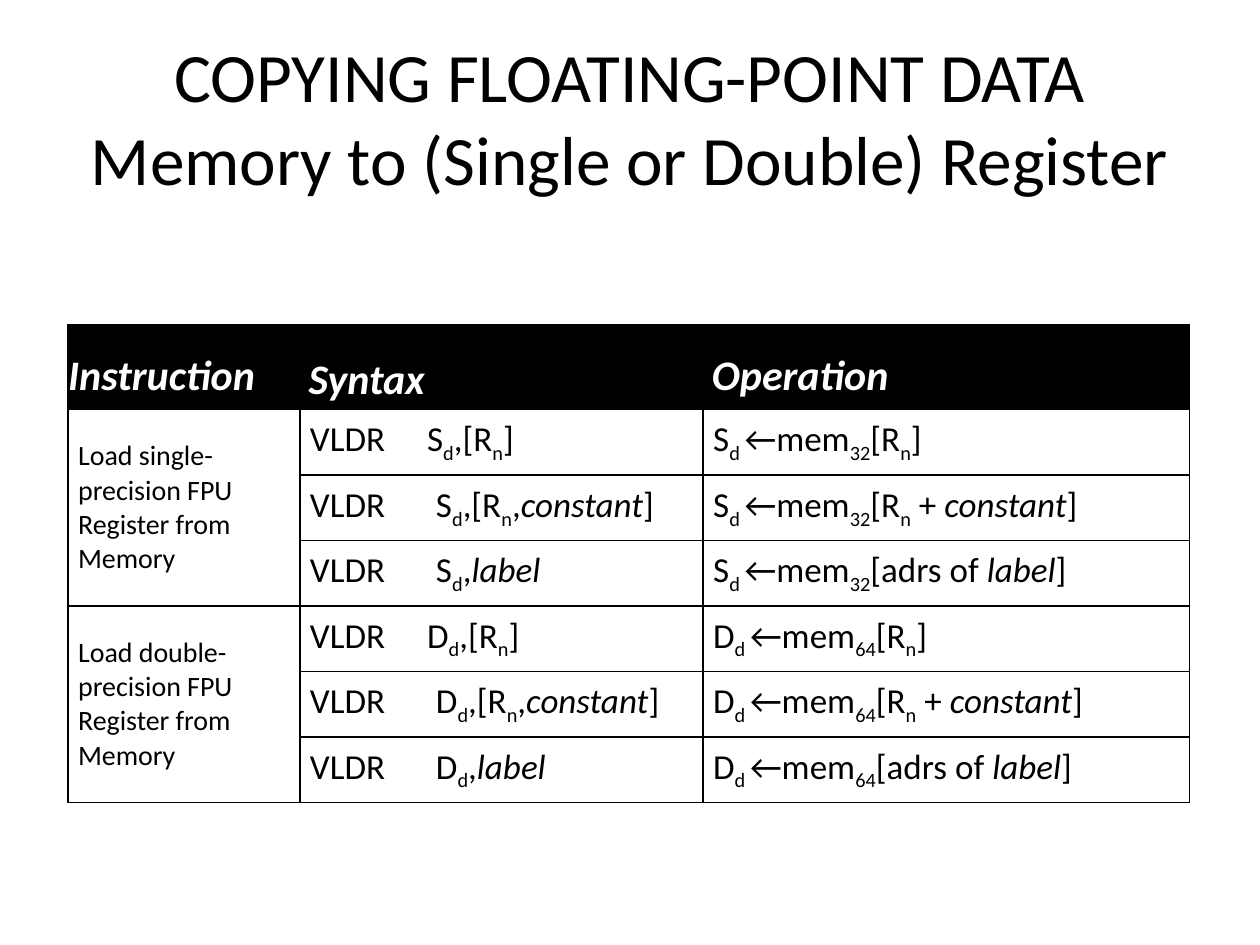
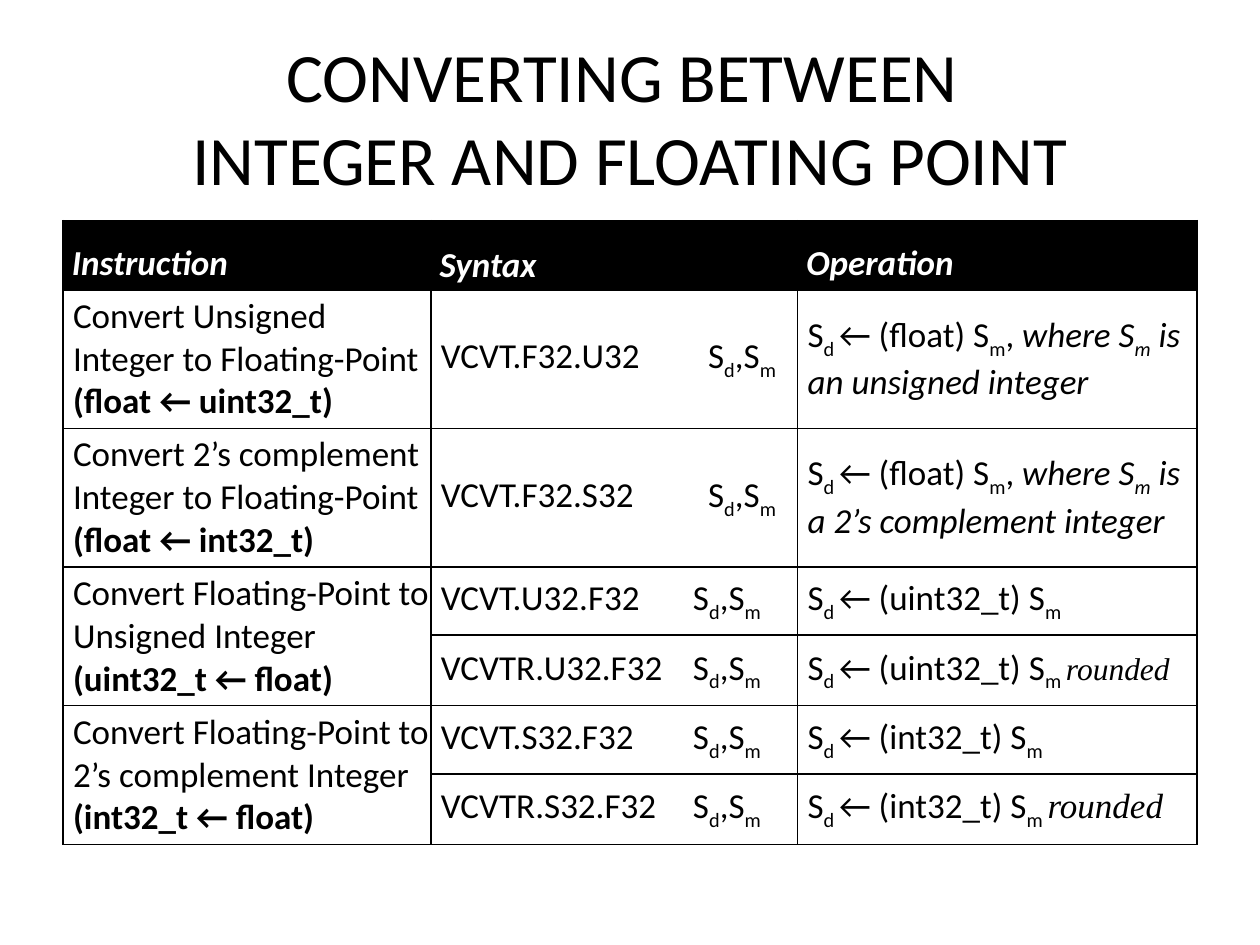
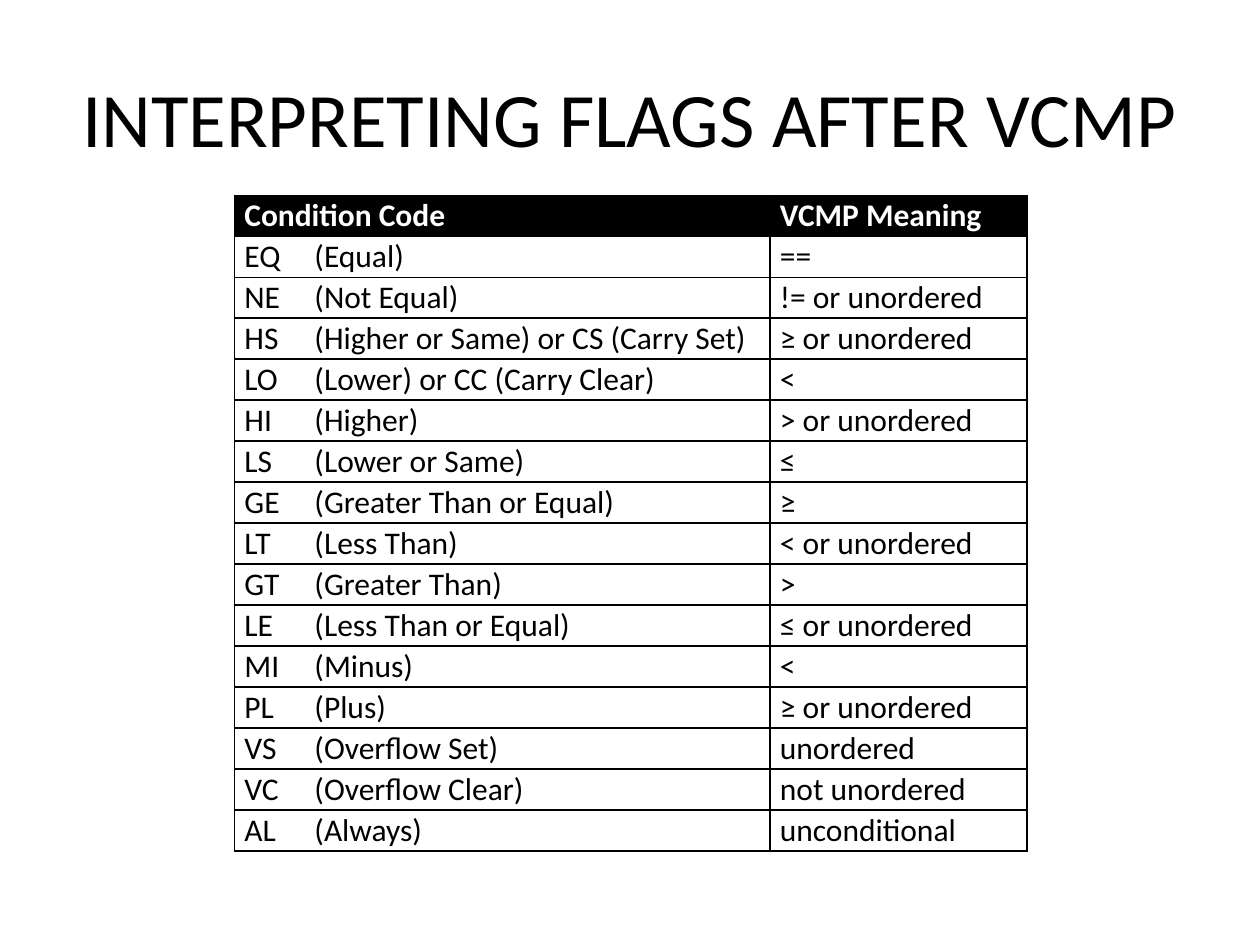
from lxml.etree import SubElement
from pptx import Presentation
from pptx.dml.color import RGBColor
from pptx.enum.text import MSO_ANCHOR, MSO_AUTO_SIZE, PP_ALIGN
from pptx.oxml.ns import qn
from pptx.util import Inches, Pt

BLACK, WHITE = "000000", "FFFFFF"
SANS, SERIF = "Calibri", "Times New Roman"
TITLE_ONLY = 5
TITLE_BOX = (0.5, 0.3, 9, 1.25)

# Each mark switches one run style on or off; None as a cell extends the cell above.
MARKS = {"~": "subscript", "*": "italic", "^": "bold", "#": "serif", "%": "small serif"}
HEADINGS = ["*^Instruction", "*^Syntax", "*^Operation"]


def load_rows(precision, register, bits):
    target = f"{register}~d ~←mem~{bits}~"
    syntax = f"VLDR\t{register}~d~,"
    return [
        (f"Load {precision}-precision FPU Register from Memory",
         f"{syntax}[R~n~]", f"{target}[R~n~]"),
        (None, f"{syntax}[R~n~,*constant*]", f"{target}[R~n~ + *constant*]"),
        (None, f"{syntax}*label*", f"{target}[adrs of *label*]"),
    ]


CONVERSIONS = [
    ("Convert Unsigned Integer to Floating-Point ^(float ← uint32_t)",
     "VCVT.F32.U32\tS~d~,S~m", "S~d ~← (float) S~m~, *where S~m~ is an unsigned integer"),
    ("Convert 2’s complement Integer to Floating-Point\n^(float ← int32_t)",
     "VCVT.F32.S32\tS~d~,S~m", "S~d ~← (float) S~m~, *where S~m~ is a 2’s complement integer"),
    ("Convert Floating-Point to Unsigned Integer\n^(uint32_t ← float)",
     "VCVT.U32.F32\tS~d~,S~m", "S~d ~← (uint32_t) S~m"),
    (None, "VCVTR.U32.F32\tS~d~,S~m", "S~d ~← (uint32_t) S~m ~*%rounded"),
    ("Convert Floating-Point to 2’s complement Integer\n^(int32_t ← float)",
     "VCVT.S32.F32\tS~d~,S~m", "S~d ~← (int32_t) S~m"),
    (None, "VCVTR.S32.F32\tS~d~,S~m", "S~d ~← (int32_t) S~m ~*#rounded"),
]

CONDITIONS = [
    ("EQ", "(Equal)", "=="),
    ("NE", "(Not Equal)", "!= or unordered"),
    ("HS", "(Higher or Same) or CS (Carry Set)", "≥ or unordered"),
    ("LO", "(Lower) or CC (Carry Clear)", "<"),
    ("HI", "(Higher)", "> or unordered"),
    ("LS", "(Lower or Same)", "≤"),
    ("GE", "(Greater Than or Equal)", "≥"),
    ("LT", "(Less Than)", "< or unordered"),
    ("GT", "(Greater Than)", ">"),
    ("LE", "(Less Than or Equal)", "≤ or unordered"),
    ("MI", "(Minus)", "<"),
    ("PL", "(Plus)", "≥ or unordered"),
    ("VS", "(Overflow Set)", "unordered"),
    ("VC", "(Overflow Clear)", "not unordered"),
    ("AL", "(Always)", "unconditional"),
]

# Insets are (left, right) pairs, one for each column; tabs hold for the given rows.
PAGES = [
    dict(title="COPYING FLOATING-POINT DATA\vMemory to (Single or Double) Register",
         title_size=39.6, corner=(0.54, 2.58), columns=[1.84, 3.2, 3.86],
         heights=[0.67] + [0.52] * 6,
         rows=[HEADINGS, *load_rows("single", "S", 32), *load_rows("double", "D", 64)],
         header_size=24, size=20, first_column_size=16, header_spacing=1.5,
         header_insets=[(0, 0), (0.07, 0.07), (0.07, 0.07)],
         insets=[(0.08, 0), (0.08, 0.08), (0.08, 0.08)],
         header_pad=0, pad=0.04, tab=1, row_tabs={1: 0.93, 4: 0.93}),
    dict(title="CONVERTING BETWEEN \vINTEGER AND FLOATING POINT",
         title_size=39.6, corner=(0.5, 1.75), columns=[2.92, 2.91, 3.17],
         heights=[0.55, 1.1, 1.1, 0.54, 0.56, 0.54, 0.56],
         rows=[HEADINGS, *CONVERSIONS],
         header_size=20, size=20, first_column_size=20, header_spacing=1.5,
         header_insets=[(0.07, 0), (0.07, 0), (0.07, 0.07)],
         insets=[(0.08, 0), (0.08, 0), (0.08, 0.08)],
         header_pad=0, pad=0.04, tab=2, row_tabs={1: 2.12, 2: 2.12}),
    dict(title="INTERPRETING FLAGS AFTER VCMP",
         title_size=44, corner=(1.86, 1.55), columns=[4.25, 2.04],
         heights=[0.32] * 16,
         rows=[["^Condition Code", "^VCMP Meaning"],
               *[(f"{code}\t {name}", meaning) for code, name, meaning in CONDITIONS]],
         header_size=18, size=18, first_column_size=18, header_spacing=1,
         header_insets=[(0.08, 0.08)] * 2, insets=[(0.08, 0.08)] * 2,
         header_pad=0.01, pad=0.01, tab=0.5, row_tabs={}),
]


def rgb(color):
    return RGBColor.from_string(color)


def styled_spans(marked):
    """Split marked text into (text, set of styles) pairs."""
    spans, styles, text = [], set(), ""
    for letter in marked:
        if letter in MARKS:
            if text:
                spans.append((text, frozenset(styles)))
            text = ""
            styles ^= {MARKS[letter]}
        else:
            text += letter
    return spans + [(text, frozenset(styles))] if text else spans


def write_paragraph(para, marked, size, color):
    for text, styles in styled_spans(marked):
        span = para.add_run()
        span.text = text
        font = span.font
        font.name = SERIF if styles & {"serif", "small serif"} else SANS
        font.size = Pt(18 if "small serif" in styles else size)
        font.bold, font.italic = "bold" in styles, "italic" in styles
        font.color.rgb = rgb(color)
        if "subscript" in styles:
            font._element.set("baseline", "-25000")


def set_tab(para, position):
    tabs = SubElement(para._p.get_or_add_pPr(), qn("a:tabLst"))
    SubElement(tabs, qn("a:tab"), pos=str(Inches(position)), algn="l")


def draw_borders(cell):
    properties = cell._tc.get_or_add_tcPr()
    for side in ("lnL", "lnR", "lnT", "lnB"):
        line = SubElement(properties, qn(f"a:{side}"), w=str(Pt(1)))
        fill = SubElement(line, qn("a:solidFill"))
        SubElement(fill, qn("a:srgbClr"), val=BLACK)


def fill_cell(cell, marked, row, column, page):
    header = row == 0
    draw_borders(cell)
    if header:
        cell.fill.solid()
        cell.fill.fore_color.rgb = rgb(BLACK)
    else:
        cell.fill.background()
    if marked is None:
        return
    left, right = page["header_insets" if header else "insets"][column]
    pad = page["header_pad" if header else "pad"]
    cell.margin_left, cell.margin_right = Inches(left), Inches(right)
    cell.margin_top = cell.margin_bottom = Inches(pad)
    top = header and column != 1
    cell.vertical_anchor = MSO_ANCHOR.TOP if top else MSO_ANCHOR.MIDDLE

    size = page["header_size" if header else "first_column_size" if column == 0 else "size"]
    frame = cell.text_frame
    for number, line in enumerate(marked.split("\n")):
        para = frame.add_paragraph() if number else frame.paragraphs[0]
        if header:
            para.line_spacing = page["header_spacing"]
        if "\t" in line:
            set_tab(para, page["row_tabs"].get(row, page["tab"]))
        write_paragraph(para, line, size, WHITE if header else BLACK)


def add_title(slide, text, size):
    title = slide.shapes.title
    title.left, title.top, title.width, title.height = map(Inches, TITLE_BOX)
    frame = title.text_frame
    frame.text = text
    frame.word_wrap = True
    frame.auto_size = MSO_AUTO_SIZE.NONE
    frame.vertical_anchor = MSO_ANCHOR.MIDDLE
    para = frame.paragraphs[0]
    para.alignment = PP_ALIGN.CENTER
    for span in para.runs:
        span.font.name, span.font.size = SANS, Pt(size)
        span.font.color.rgb = rgb(BLACK)


def add_grid(slide, page):
    rows, columns, heights = page["rows"], page["columns"], page["heights"]
    area = (*page["corner"], sum(columns), sum(heights))
    table = slide.shapes.add_table(len(rows), len(columns), *map(Inches, area)).table
    table.first_row = table.horz_banding = False
    for column, width in enumerate(columns):
        table.columns[column].width = Inches(width)
    for row, height in enumerate(heights):
        table.rows[row].height = Inches(height)
    for row, texts in enumerate(rows):
        for column, marked in enumerate(texts):
            fill_cell(table.cell(row, column), marked, row, column, page)
    starts = [row for row, texts in enumerate(rows) if texts[0] is not None]
    for start, following in zip(starts, starts[1:] + [len(rows)]):
        if following - start > 1:
            table.cell(start, 0).merge(table.cell(following - 1, 0))


def main():
    deck = Presentation()
    deck.slide_width, deck.slide_height = Inches(10), Inches(7.5)
    for page in PAGES:
        slide = deck.slides.add_slide(deck.slide_layouts[TITLE_ONLY])
        add_title(slide, page["title"], page["title_size"])
        add_grid(slide, page)
    deck.save("out.pptx")


if __name__ == "__main__":
    main()
